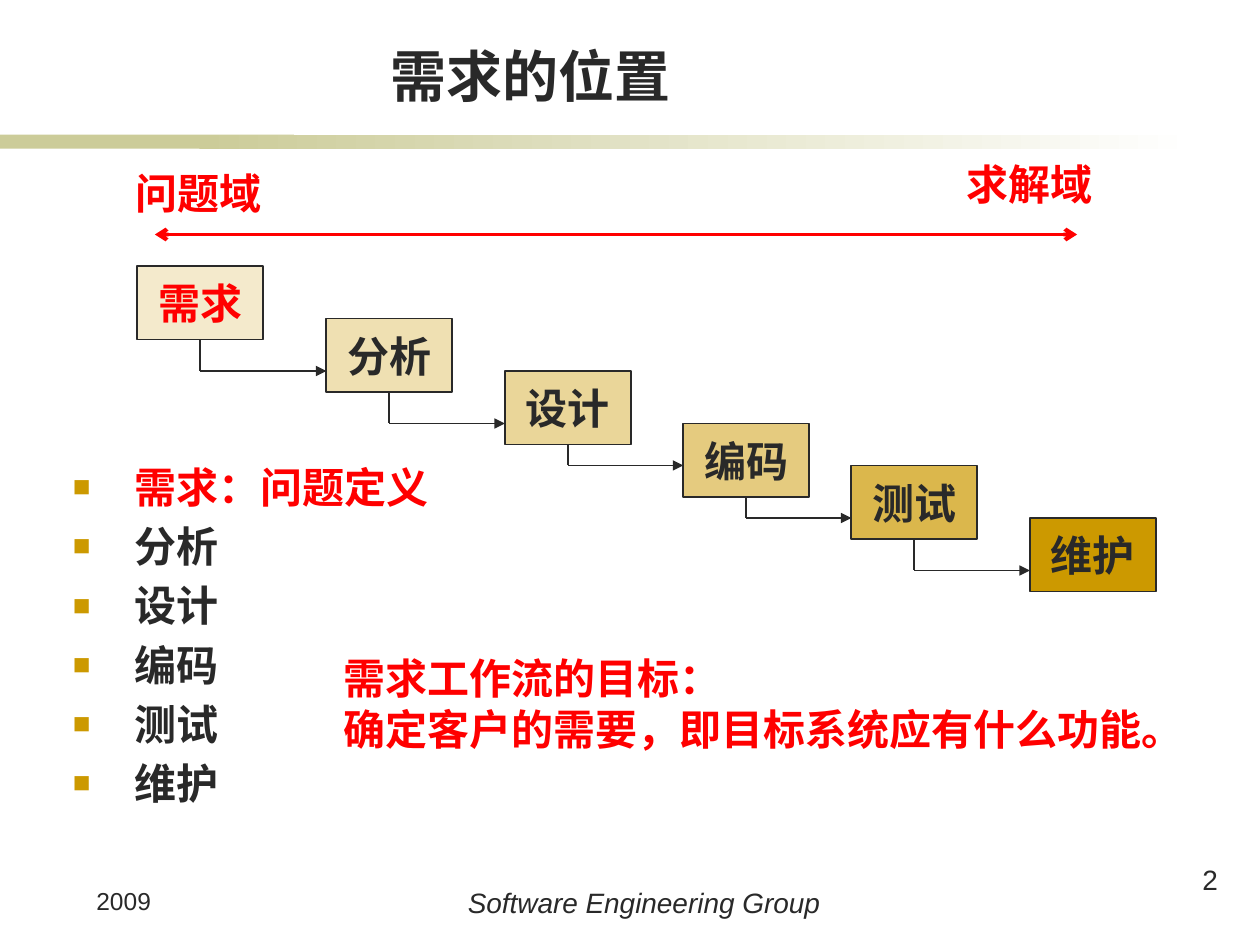
from lxml import etree
from pptx import Presentation
from pptx.dml.color import RGBColor
from pptx.enum import shapes, text
from pptx.oxml import ns
from pptx.util import Pt

RED = RGBColor(0xFF, 0x00, 0x00)
INK = RGBColor(0x29, 0x29, 0x29)
GOLD = RGBColor(0xCC, 0x99, 0x00)
SAGE = RGBColor(0xCC, 0xCC, 0x99)
WHITE = RGBColor(0xFF, 0xFF, 0xFF)
CJK = "Noto Sans CJK SC"
STRONG = {"size": Pt(24), "bold": True, "name": CJK}
STEPS = [
    ("需求", 0, 0, 20, 18),
    ("分析", 108, 30, 30, 18),
    ("设计", 210, 60, 40, 12),
    ("编码", 312, 90, 50, 12),
    ("测试", 408, 114, 70, 18),
    ("维护", 510, 144, 100, 0),
]


def add_xml(parent, tag, **attributes):
    """Append a DrawingML child and return it."""
    return etree.SubElement(parent, ns.qn(tag), attributes)


def apply(target, values):
    """Set attributes of an object from a dict."""
    for key, value in values.items():
        setattr(target, key, value)


def write(paragraph, words, color, **font_values):
    """Put one formatted run into a paragraph."""
    run = paragraph.add_run()
    run.text = words
    apply(run.font, font_values)
    run.font.color.rgb = color
    add_xml(run.font._element, "a:ea", typeface=CJK)


def place(shape, box):
    """Move a shape to a box given in points."""
    apply(shape, dict(zip(("left", "top", "width", "height"), map(Pt, box))))


def draw_label(slide, box, lines, color, align=text.PP_ALIGN.LEFT, wrap=True, **font_values):
    """Add a text box with one paragraph per line."""
    frame = slide.shapes.add_textbox(*map(Pt, box)).text_frame
    frame.word_wrap = wrap
    for index, words in enumerate(lines):
        paragraph = frame.add_paragraph() if index else frame.paragraphs[0]
        paragraph.alignment = align
        write(paragraph, words, color, **font_values)


def draw_line(parent, start, end, color, width, **arrowheads):
    """Add a straight line with optional arrowheads."""
    line = parent.add_connector(shapes.MSO_CONNECTOR.STRAIGHT, *map(Pt, start + end))
    line.line.color.rgb = color
    line.line.width = Pt(width)
    outline = line.line._get_or_add_ln()
    for side, kind in arrowheads.items():
        add_xml(outline, f"a:{side}", type=kind)
    add_xml(line._element.spPr, "a:effectLst")
    return line


def draw_band(slide, left, top, width, height):
    """Draw the rule under the title, fading out to the right."""
    for offset, length in ((0, 168), (114, width - 114)):
        band = slide.shapes.add_shape(
            shapes.MSO_SHAPE.RECTANGLE, Pt(left + offset), Pt(top), Pt(length), Pt(height))
        band.shadow.inherit = False
        band.line.fill.background()
        if offset:
            band.fill.gradient()
            band.fill.gradient_angle = 0
            for stop, color in zip(band.fill.gradient_stops, (SAGE, WHITE)):
                stop.color.rgb = color
        else:
            band.fill.solid()
            band.fill.fore_color.rgb = SAGE


def fill_title(slide, box):
    """Fill the title placeholder."""
    title = slide.shapes.title
    place(title, box)
    apply(title.text_frame, {"vertical_anchor": text.MSO_ANCHOR.BOTTOM,
                             "auto_size": text.MSO_AUTO_SIZE.NONE})
    heading = title.text_frame.paragraphs[0]
    heading.alignment = text.PP_ALIGN.CENTER
    write(heading, "需求的位置", INK, size=Pt(32), bold=True, name="Arial")


def fill_phases(slide, box):
    """Fill the body placeholder with the list of phases."""
    body = slide.placeholders[1]
    place(body, box)
    frame = body.text_frame
    frame.auto_size = text.MSO_AUTO_SIZE.NONE
    for index, (phase, *_) in enumerate(STEPS):
        item = frame.add_paragraph() if index else frame.paragraphs[0]
        apply(item, {"line_spacing": 0.8, "space_before": Pt(4.8), "space_after": Pt(6)})
        layout = item._p.get_or_add_pPr()
        layout.set("marL", str(Pt(35)))
        layout.set("indent", str(Pt(-35)))
        add_xml(add_xml(layout, "a:buClr"), "a:srgbClr", val=str(GOLD))
        add_xml(layout, "a:buSzPct", val="70000")
        add_xml(layout, "a:buFont", typeface="Arial")
        add_xml(layout, "a:buChar", char="■")
        write(item, phase if index else phase + "：问题定义", INK if index else RED, **STRONG)


def draw_step(parent, box, name, opacity, color):
    """Draw one step of the waterfall."""
    step = parent.add_shape(shapes.MSO_SHAPE.RECTANGLE, *map(Pt, box))
    step.shadow.inherit = False
    step.fill.solid()
    step.fill.fore_color.rgb = GOLD
    if opacity < 100:
        tint = step._element.spPr.find(".//" + ns.qn("a:srgbClr"))
        add_xml(tint, "a:alpha", val=str(opacity * 1000))
    step.line.color.rgb = INK
    step.line.width = Pt(1)
    apply(step.text_frame, {"word_wrap": False, "vertical_anchor": text.MSO_ANCHOR.MIDDLE})
    caption = step.text_frame.paragraphs[0]
    caption.alignment = text.PP_ALIGN.CENTER
    write(caption, name, color, **STRONG)
    return step


def draw_waterfall(slide, left, top, width=72, height=42):
    """Draw the descending steps and the elbows that join them."""
    waterfall = slide.shapes.add_group_shape().shapes
    steps = [draw_step(waterfall, (left + x, top + y, width, height), name, opacity,
                       INK if index else RED)
             for index, (name, x, y, opacity, _) in enumerate(STEPS)]
    for step, (_, x, y, _, drop), following in zip(steps, STEPS, STEPS[1:]):
        middle = left + x + width / 2
        bottom = top + y + height
        corner = (middle, bottom + drop)
        stem = draw_line(waterfall, (middle, bottom), corner, INK, 1)
        stem.begin_connect(step, 2)
        draw_line(waterfall, corner, (left + following[1], corner[1]), INK, 1,
                  tailEnd="triangle")


def draw_domains(slide, left, top):
    """Draw the axis from problem domain to solution domain."""
    draw_line(slide.shapes, (left + 18, top + 47), (left + 545, top + 47), RED, 2.25,
              headEnd="arrow", tailEnd="arrow")
    for name, x, y in (("问题域", 0, 5), ("求解域", 474.5, 0)):
        draw_label(slide, (left + x, top + y, 88, 36), [name], RED, wrap=False, **STRONG)


def draw_footer(slide, left, top):
    """Draw the year, group name and slide number."""
    draw_label(slide, (left, top + 13, 102, 28), ["2009"], INK, size=Pt(14), name="Arial")
    draw_label(slide, (left + 582, top, 73, 36), ["2"], INK, text.PP_ALIGN.RIGHT,
               size=Pt(16), name="Arial")
    draw_label(slide, (left + 113, top + 13, 414, 28), ["Software Engineering Group"], INK,
               text.PP_ALIGN.CENTER, size=Pt(16), name="Arial", italic=True)


def main():
    """Build and save the slide."""
    deck = Presentation()
    apply(deck, {"slide_width": Pt(720), "slide_height": Pt(540)})
    slide = deck.slides.add_slide(deck.slide_layouts[1])
    draw_band(slide, 0, 77, 684, 8)
    fill_phases(slide, (34.5, 265.7, 317.5, 216))
    draw_waterfall(slide, 78.5, 152)
    draw_footer(slide, 48, 489.6)
    fill_title(slide, (82, 21, 442, 45))
    draw_domains(slide, 70.5, 87)
    draw_label(slide, (189.4, 369.4, 505.4, 65.5),
               ["需求工作流的目标：", "确定客户的需要，即目标系统应有什么功能。"], RED, **STRONG)
    deck.save("out.pptx")


if __name__ == "__main__":
    main()
